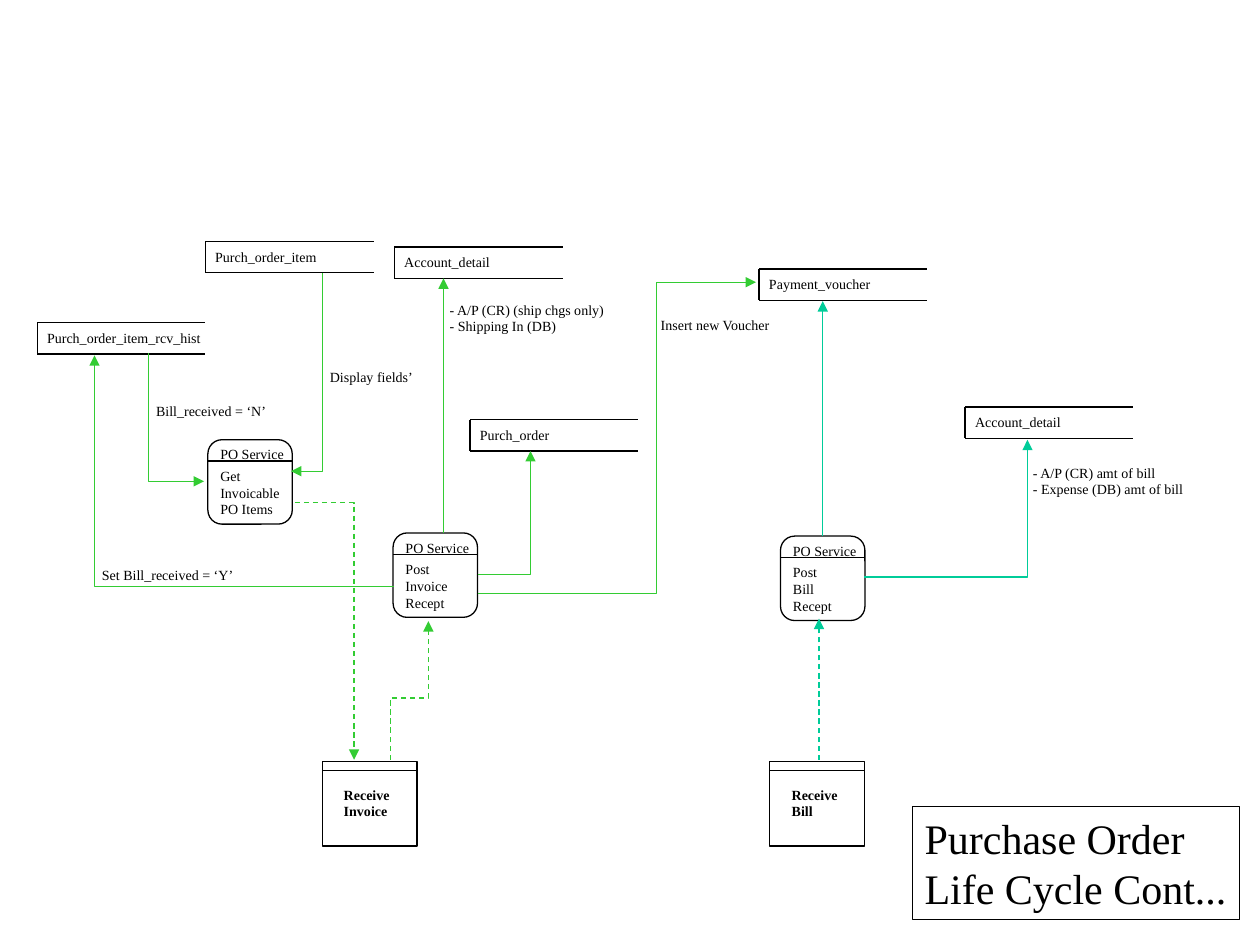
from lxml import etree
from pptx import Presentation
from pptx.dml.color import RGBColor
from pptx.enum.dml import MSO_LINE
from pptx.enum.shapes import MSO_CONNECTOR, MSO_SHAPE
from pptx.enum.text import MSO_ANCHOR, MSO_AUTO_SIZE, PP_ALIGN
from pptx.oxml.ns import qn
from pptx.util import Inches, Pt

RECT, ROUND = MSO_SHAPE.RECTANGLE, MSO_SHAPE.ROUNDED_RECTANGLE
STRAIGHT, DASH = MSO_CONNECTOR.STRAIGHT, MSO_LINE.DASH
GROW, TOP, LEFT = MSO_AUTO_SIZE.SHAPE_TO_FIT_TEXT, MSO_ANCHOR.TOP, PP_ALIGN.LEFT
COLS, ROWS, SLACK = 1000, 750, 4
BLACK, GREEN, TEAL = "000000", "33CC33", "00CC99"
BODY = {"name": "Times New Roman", "size": Pt(8), "bold": False}
BOLD = {**BODY, "bold": True}
HEAD = {**BODY, "size": Pt(24)}
FRAME = {"auto_size": GROW, "vertical_anchor": TOP}

STORES = [
    ((29.5, 256), 142, "Purch_order_item_rcv_hist"),
    ((163, 191.5), 100, "Purch_order_item"),
    ((313, 196), 88, "Account_detail"),
    ((373, 333), 75, "Purch_order"),
    ((602.5, 213.5), 100, "Payment_voucher"),
    ((766, 323), 88, "Account_detail"),
]
TASKS = [
    ((165, 349), 67, ["Get", "Invoicable", "PO Items"]),
    ((312, 423), 53, ["Post", "Invoice", "Recept"]),
    ((619.5, 425.5), 51, ["Post", "Bill", "Recept"]),
]
SCREENS = [
    ((256, 604.5), 7, ["Receive", "Invoice"]),
    ((611, 604.5), 7.5, ["Receive", "Bill"]),
]
NOTES = [
    ((347, 234, 144, 37), ["- A/P (CR) (ship chgs only)", "- Shipping In (DB)"]),
    ((114, 314.5, 107, 24), ["Bill_received = ‘N’"]),
    ((71, 445, 124, 24), ["Set Bill_received = ‘Y’"]),
    ((252, 287.5, 86, 24), ["Display fields’"]),
    ((514.5, 246, 108, 24), ["Insert new Voucher"]),
    ((810, 363.5, 139, 37), ["- A/P (CR) amt of bill", "- Expense (DB) amt of bill"]),
]
FLOWS = [
    ([(118, 280), (118, 382), (162, 382)], GREEN, None),
    ([(310, 603), (310, 554), (340, 554), (340, 493)], GREEN, DASH),
    ([(256, 217), (256, 374), (231, 374)], GREEN, None),
    ([(234, 399), (281, 399), (281, 603)], GREEN, DASH),
    ([(313, 465.5), (75, 465.5), (75, 282)], GREEN, None),
    ([(379, 456), (421, 456), (421, 358)], GREEN, None),
    ([(379, 471), (521, 471), (521, 224), (600, 224)], GREEN, None),
    ([(686, 458), (815.5, 458), (815.5, 349)], TEAL, None),
]

deck = Presentation()
deck.slide_width, deck.slide_height = Inches(10), Inches(7.5)
shapes = deck.slides.add_slide(deck.slide_layouts[6]).shapes


def grid(*cells):
    """Turn alternating columns and rows into slide lengths."""
    steps = deck.slide_width / COLS, deck.slide_height / ROWS
    return [round(cell * steps[i % 2]) for i, cell in enumerate(cells)]


def paint(text):
    """Return the colour for a hex string."""
    return RGBColor.from_string(text)


def stroke(item, color=BLACK, dash=None, arrow=False):
    """Style the line of a shape or connector."""
    look = {"width": Pt(0.75), "dash_style": dash}
    for name, value in look.items():
        setattr(item.line, name, value)
    item.line.color.rgb = paint(color)
    if arrow:
        pen = item.line._get_or_add_ln()
        etree.SubElement(pen, qn("a:tailEnd"), type="triangle")


def write(item, lines, font=BODY, wrap=True):
    """Fill a shape with left-aligned lines of text."""
    frame = item.text_frame
    for name, value in {**FRAME, "word_wrap": wrap}.items():
        setattr(frame, name, value)
    frame.text = "\n".join(lines)
    for para in frame.paragraphs:
        para.alignment = LEFT
        for name, value in font.items():
            setattr(para.font, name, value)
        para.font.color.rgb = paint(BLACK)


def label(box, lines, font=BODY):
    """Add a text box with a little room to spare on the right."""
    x, y, width, height = box
    item = shapes.add_textbox(*grid(x, y, width + SLACK, height))
    write(item, lines, font)


def rule(start, end, color=BLACK, dash=None, arrow=False):
    """Add a straight line."""
    item = shapes.add_connector(STRAIGHT, *grid(*start, *end))
    stroke(item, color, dash, arrow)
    etree.SubElement(item._element.spPr, qn("a:effectLst"))
    return item


def panel(kind, box):
    """Add an unfilled outlined shape."""
    item = shapes.add_shape(kind, *grid(*box))
    item.shadow.inherit = False
    item.fill.background()
    stroke(item)
    return item


def store(spot, width, name):
    """Draw a data store, open on the right."""
    x, y = spot
    right, low = x + 133.5, y + 25
    label((x - 2, y + 0.5, width, 24), [name])
    rule((x, y), (right, y))
    rule((x, low), (right, low))
    rule((x, y), (x, low))


def task(spot, width, lines):
    """Draw a service box with a heading strip."""
    x, y = spot
    side, strip = 67, 17
    item = panel(ROUND, (x, y, side, side))
    item.adjustments[0] = 0.167
    label((x, y + strip, width, side - strip), lines)
    rule((x, y + strip), (x + side, y + strip))
    label((x, y, 70, 24), ["PO Service"])
    return item


def screen(spot, inset, lines):
    """Draw a screen box with a title bar."""
    x, y = spot
    label((x + inset, y + 14.5, 56, 37), lines, BOLD)
    panel(RECT, (x, y, 75, 67))
    rule((x, y + 7), (x + 75, y + 7))


def flow(points, color, dash):
    """Draw a bent arrow through the points."""
    start, *rest = [grid(*point) for point in points]
    pen = shapes.build_freeform(*start)
    pen.add_line_segments(rest, close=False)
    item = pen.convert_to_shape()
    item.shadow.inherit = False
    item.fill.background()
    stroke(item, color, dash, True)


def main():
    """Build the slide."""
    for row in STORES:
        store(*row)
    tasks = [task(*row) for row in TASKS]
    for row in SCREENS:
        screen(*row)
    for row in NOTES:
        label(*row)
    for row in FLOWS:
        flow(*row)
    rule((650, 603), (650, 491), TEAL, DASH, True)
    rule((352, 423), (352, 221), GREEN, None, True)
    pay = rule((653, 425), (653, 239), TEAL, None, True)
    pay.begin_connect(tasks[-1], 0)
    title = panel(RECT, (724, 640, 260, 90))
    write(title, ["Purchase Order", "Life Cycle Cont..."], HEAD, False)
    deck.save("out.pptx")


if __name__ == "__main__":
    main()
